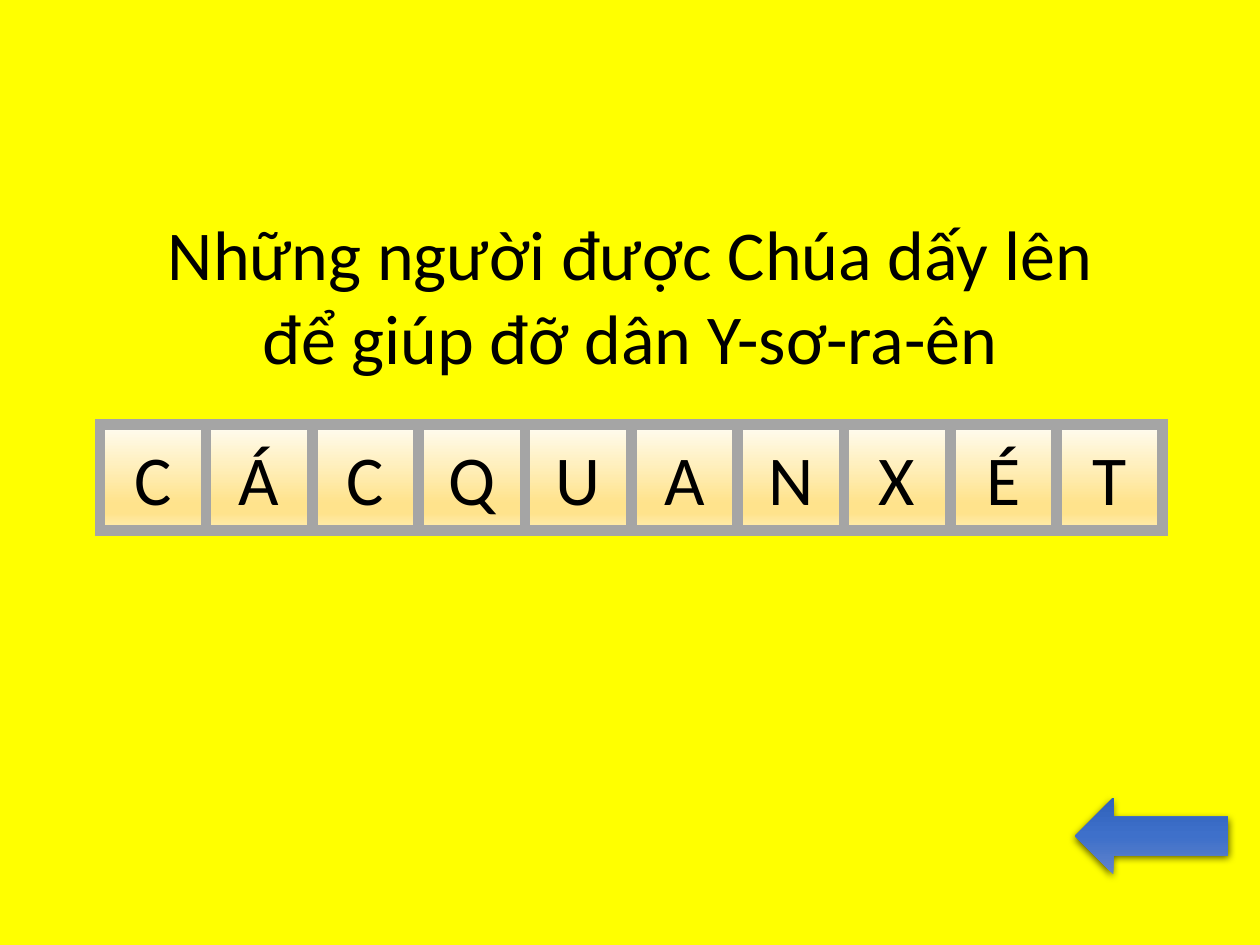
from lxml.etree import SubElement
from pptx import Presentation
from pptx.dml.color import RGBColor
from pptx.enum.shapes import MSO_SHAPE as Preset
from pptx.enum.text import MSO_AUTO_SIZE as AutoSize, PP_ALIGN as Align
from pptx.oxml.ns import qn
from pptx.util import Pt

FONT = "Calibri"
QUESTION = "Những người được Chúa dấy lên để giúp đỡ dân Y-sơ-ra-ên"
ANSWER = "CÁCQUANXÉT"
INSET = 7.2
TILE_STOPS = [(0, "FFFCF2"), (74, "FFE38C"), (83, "FFE38C"), (100, "FFECB2")]
ARROW_STOPS = [(0, "6183CB"), (50, "3E70CA"), (100, "3062BB")]


def color(hex_code):
    return RGBColor.from_string(hex_code)


def fill_gradient(shape, stops):
    """Fill from top to bottom with (percent, colour) stops."""
    shape.fill.gradient()
    shape.fill.gradient_angle = 270
    stop_list = shape._element.spPr.find(".//" + qn("a:gsLst"))
    for old_stop in list(stop_list):
        stop_list.remove(old_stop)
    for percent, hex_code in stops:
        stop = SubElement(stop_list, qn("a:gs"), pos=str(percent * 1000))
        SubElement(stop, qn("a:srgbClr"), val=hex_code)


def add_shadow(shape, hex_code, opacity, blur, distance):
    """Cast a soft shadow straight down."""
    effects = shape._element.spPr.find(qn("a:effectLst"))
    shadow = SubElement(effects, qn("a:outerShdw"), blurRad=str(Pt(blur)),
                        dist=str(Pt(distance)), dir="5400000", rotWithShape="0")
    shade = SubElement(shadow, qn("a:srgbClr"), val=hex_code)
    SubElement(shade, qn("a:alpha"), val=str(opacity * 1000))


def add_text(slide, text, left, top, width, height, size=40, align=Align.LEFT,
             hex_code="000000"):
    box = slide.shapes.add_textbox(Pt(left), Pt(top), Pt(width), Pt(height))
    frame = box.text_frame
    frame.word_wrap = True
    frame.auto_size = AutoSize.SHAPE_TO_FIT_TEXT
    paragraph = frame.paragraphs[0]
    paragraph.alignment = align
    run = paragraph.add_run()
    run.text = text
    run.font.name = FONT
    run.font.size = Pt(size)
    run.font.color.rgb = color(hex_code)
    return paragraph


def add_tile(slide, left, top, side):
    tile = slide.shapes.add_shape(Preset.RECTANGLE, Pt(left), Pt(top), Pt(side), Pt(side))
    tile.shadow.inherit = False
    fill_gradient(tile, TILE_STOPS)
    tile.line.color.rgb = color("A5A5A5")
    tile.line.width = Pt(6)
    SubElement(tile.line._get_or_add_ln(), qn("a:miter"), lim="800000")


def add_answer_row(slide, left, top, width, height):
    """Lay one tile per letter, with the letters centred on them by tab stops."""
    pitch = width / len(ANSWER)
    for index in range(len(ANSWER)):
        add_tile(slide, left + index * pitch, top, height)
    letters = add_text(slide, "".join("\t" + letter for letter in ANSWER),
                       left, top + 2.6, width, 55.4)
    tab_list = SubElement(letters._p.get_or_add_pPr(), qn("a:tabLst"))
    for index in range(len(ANSWER)):
        center = (index + 0.5) * pitch - INSET
        SubElement(tab_list, qn("a:tab"), pos=str(Pt(center)), algn="ctr")


def add_back_arrow(slide, left, top, width, height):
    arrow = slide.shapes.add_shape(Preset.RIGHT_ARROW, Pt(left), Pt(top),
                                   Pt(width), Pt(height))
    arrow.rotation = 180
    arrow.shadow.inherit = False
    fill_gradient(arrow, ARROW_STOPS)
    arrow.line.fill.background()
    add_shadow(arrow, "000000", opacity=63, blur=4.5, distance=1.5)


def build_question_slide(deck):
    slide = deck.slides.add_slide(deck.slide_layouts[6])
    slide.background.fill.solid()
    slide.background.fill.fore_color.rgb = color("FFFF00")
    add_back_arrow(slide, 614.2, 455.8, 87.8, 43.9)
    add_text(slide, QUESTION, 76.3, 116.6, 567.4, 104.4, align=Align.CENTER)
    add_answer_row(slide, 57, 242.6, 607.5, 60.7)


def main():
    deck = Presentation()
    deck.slide_width, deck.slide_height = Pt(720), Pt(540)
    build_question_slide(deck)
    deck.save("out.pptx")


if __name__ == "__main__":
    main()
